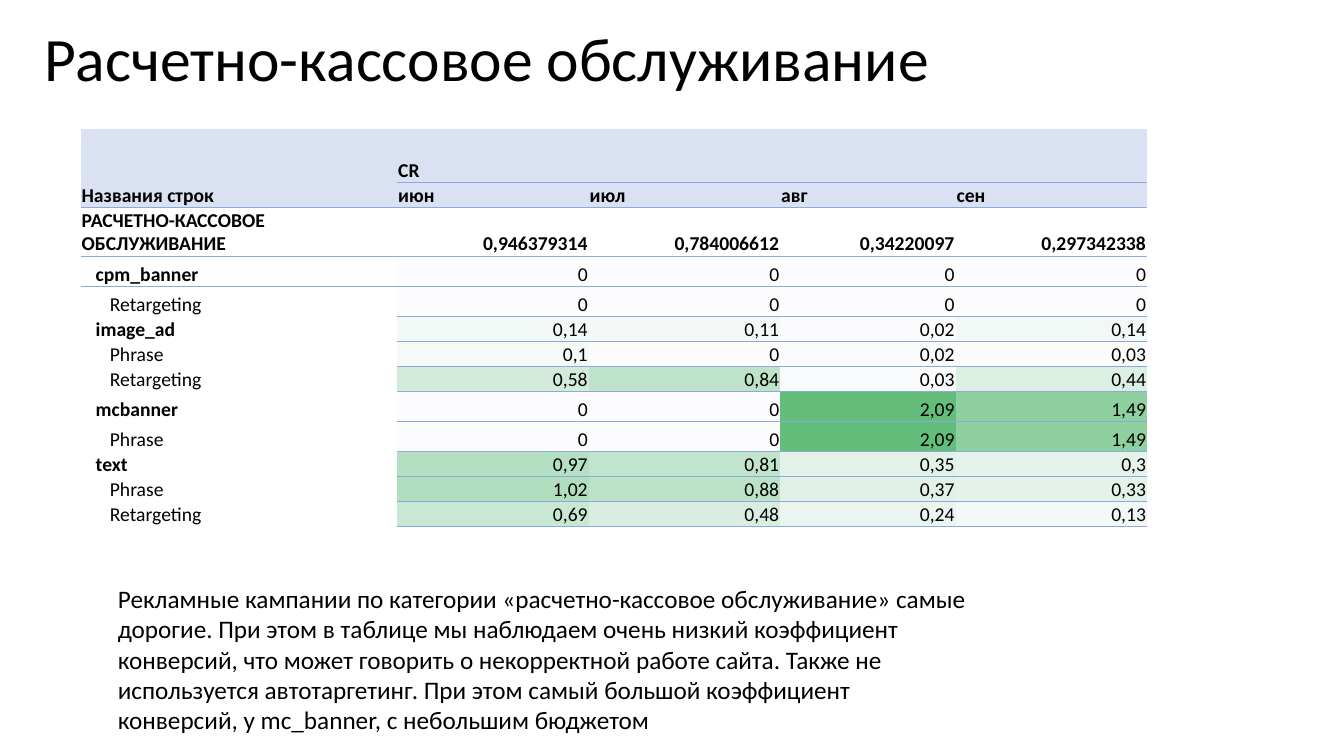
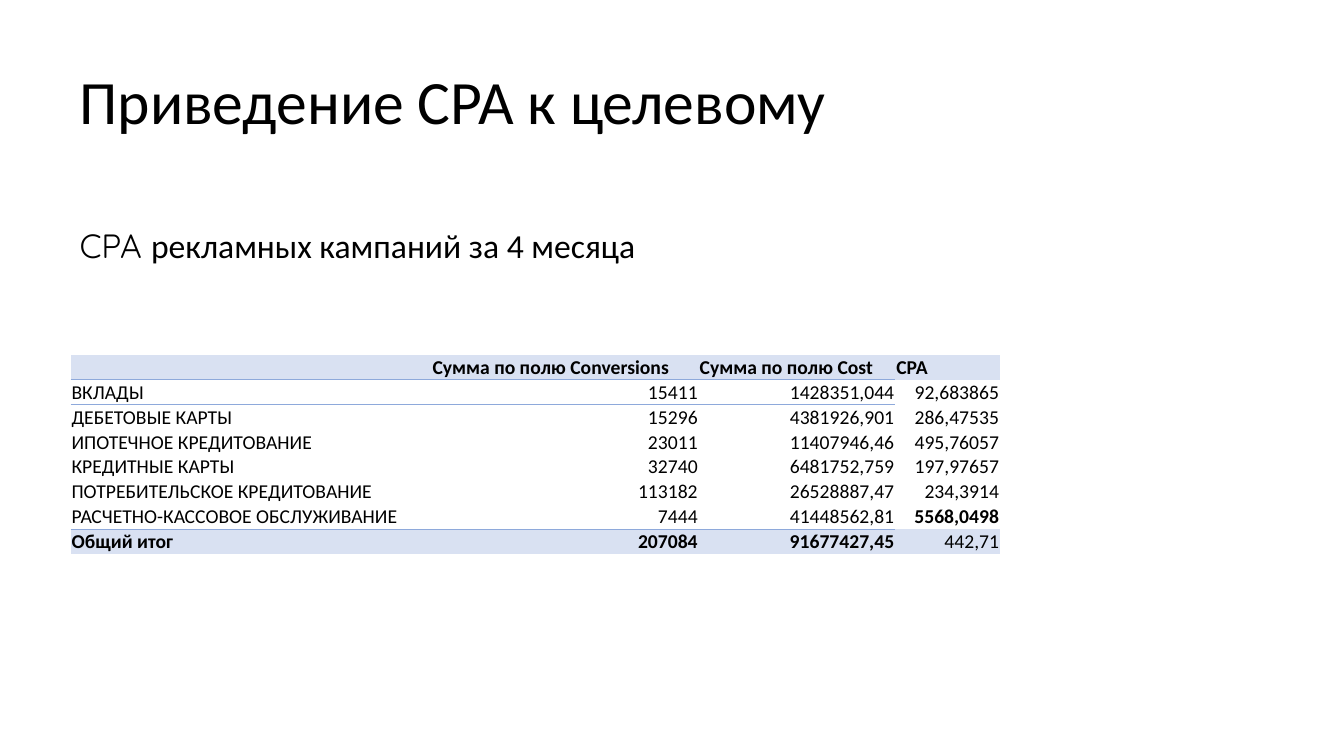
from pptx import Presentation
from pptx.dml.color import RGBColor as Color
from pptx.enum.text import MSO_ANCHOR as Anchor, MSO_AUTO_SIZE as AutoSize, PP_ALIGN as Align
from pptx.oxml.ns import qn
from pptx.util import Inches, Pt
from lxml.etree import SubElement

COLOURS = {"text": "000000", "band": "D9E1F2", "line": "8EA9DB", "low": "FCFCFF", "high": "63BE7B"}
FONT = "Calibri"
TITLE = {"size": 44, "spacing": 0.9, "anchor": Anchor.MIDDLE}
CELL_FORMAT = {"margin_left": Inches(0.01), "margin_top": Inches(0.01), "margin_right": Inches(0.01),
               "margin_bottom": 0, "vertical_anchor": Anchor.BOTTOM}
CELL_SIZE = Pt(14)
PLAIN_STYLE = "{2D5ABB26-0587-4C30-8999-92F81FD0307C}"
INDENT = 0.14

deck = Presentation()
deck.slide_width, deck.slide_height = Inches(13.33), Inches(7.5)
column, row = deck.slide_width / 100, deck.slide_height / 100  # one percent of the slide


def write(page, place, spans, size, spacing=1.0, anchor=Anchor.TOP):
    """Add a text box; place is in percent of the slide, spans are (text, font) pairs."""
    left, top, width, height = place
    box = page.shapes.add_textbox(int(left * column), int(top * row), int(width * column), int(height * row))
    frame = box.text_frame
    for name, value in {"word_wrap": True, "auto_size": AutoSize.NONE, "vertical_anchor": anchor}.items():
        setattr(frame, name, value)
    para = frame.paragraphs[0]
    para.line_spacing = spacing
    for text, font in spans:
        span = para.add_run()
        span.text = text
        for name, value in {"name": font, "size": Pt(size)}.items():
            setattr(span.font, name, value)
        span.font.color.rgb = Color.from_string(COLOURS["text"])


def add_grid(page, left, top, widths, heights, cells):
    """Add a table measured in percent of the slide; each cell is a dict of text and format."""
    frame = page.shapes.add_table(len(heights), len(widths), int(left * column), int(top * row),
                                  int(sum(widths) * column), int(sum(heights) * row))
    table = frame.table
    table.first_row = table.horz_banding = False
    table._tbl.tblPr.find(qn("a:tableStyleId")).text = PLAIN_STYLE
    for index, width in enumerate(widths):
        table.columns[index].width = int(width * column)
    for index, height in enumerate(heights):
        table.rows[index].height = int(height * row)
    for r, line in enumerate(cells):
        for c, look in enumerate(line):
            cell = table.cell(r, c)
            for name, value in CELL_FORMAT.items():
                setattr(cell, name, value)
            cell.margin_left += Inches(INDENT * look.get("level", 0))
            para = cell.text_frame.paragraphs[0]
            para.alignment = look.get("align", Align.LEFT)
            if look["text"]:
                span = para.add_run()
                span.text = look["text"]
                for name, value in {"name": FONT, "size": CELL_SIZE, "bold": look.get("bold", False)}.items():
                    setattr(span.font, name, value)
                span.font.color.rgb = Color.from_string(COLOURS["text"])
            else:
                SubElement(para._p, qn("a:endParaRPr"), sz=str(CELL_SIZE.centipoints))
            for edge in look.get("edges", ""):  # T before B
                border = SubElement(cell._tc.get_or_add_tcPr(), qn("a:ln" + edge), w=str(Pt(0.5)))
                SubElement(SubElement(border, qn("a:solidFill")), qn("a:srgbClr"), val=COLOURS["line"])
            if look.get("fill"):
                cell.fill.solid()
                cell.fill.fore_color.rgb = Color.from_string(look["fill"])
            else:
                cell.fill.background()


# Slide 1: conversion rates by month
page = deck.slides.add_slide(deck.slide_layouts[6])
band = COLOURS["band"]
cells = [
    [{"text": text, "bold": True, "fill": band, "edges": "B" if c else ""}
     for c, text in enumerate(["", "CR", "", "", ""])],
    [{"text": text, "bold": True, "fill": band, "edges": "TB" if c else "B"}
     for c, text in enumerate(["Названия строк", "июн", "июл", "авг", "сен"])],
    [{"text": text, "bold": True, "edges": "TB", "align": Align.RIGHT if c else Align.LEFT}
     for c, text in enumerate(["РАСЧЕТНО-КАССОВОЕ ОБСЛУЖИВАНИЕ", "0,946379314", "0,784006612",
                               "0,34220097", "0,297342338"])],
]
heights = [7.07, 3.2, 6]
rates = [  # indent level, name, row height, months
    (1, "cpm_banner", 4, ["0", "0", "0", "0"]),
    (2, "Retargeting", 4, ["0", "0", "0", "0"]),
    (1, "image_ad", 3.2, ["0,14", "0,11", "0,02", "0,14"]),
    (2, "Phrase", 3.2, ["0,1", "0", "0,02", "0,03"]),
    (2, "Retargeting", 3.2, ["0,58", "0,84", "0,03", "0,44"]),
    (1, "mcbanner", 4, ["0", "0", "2,09", "1,49"]),
    (2, "Phrase", 4, ["0", "0", "2,09", "1,49"]),
    (1, "text", 3.2, ["0,97", "0,81", "0,35", "0,3"]),
    (2, "Phrase", 3.2, ["1,02", "0,88", "0,37", "0,33"]),
    (2, "Retargeting", 3.2, ["0,69", "0,48", "0,24", "0,13"]),
]
highest = 2.09
low, high = (Color.from_string(COLOURS[name]) for name in ("low", "high"))
for level, name, height, months in rates:
    line = [{"text": name, "level": level, "bold": level == 1, "edges": "T" if name == "cpm_banner" else ""}]
    for text in months:
        share = float(text.replace(",", ".")) / highest
        heat = "".join(f"{round(a + (b - a) * share):02X}" for a, b in zip(low, high))
        line.append({"text": text, "align": Align.RIGHT, "fill": heat, "edges": "TB"})
    cells.append(line)
    heights.append(height)
add_grid(page, 6, 17.07, [23.56, 14.25, 14.25, 13.05, 14.25], heights, cells)
write(page, (8.03, 76.53, 65.04, 22), [(
    "Рекламные кампании по категории «расчетно-кассовое обслуживание» самые дорогие. "
    "При этом в таблице мы наблюдаем очень низкий коэффициент конверсий, что может говорить "
    "о некорректной работе сайта. Также не используется автотаргетинг. При этом самый большой "
    "коэффициент конверсий, у mc_banner, с небольшим бюджетом", FONT)], 18)
write(page, (2.55, 2.8, 86.27, 10.67), [("Расчетно-кассовое обслуживание", FONT)], **TITLE)

# Slide 2: cost per action by category
page = deck.slides.add_slide(deck.slide_layouts[6])
write(page, (5.18, 4.13, 86.27, 19.33), [("Приведение CPA к целевому", FONT)], **TITLE)
costs = [
    ["", "Сумма по полю Conversions", "Сумма по полю Cost", "CPA"],
    ["ВКЛАДЫ", "15411", "1428351,044", "92,683865"],
    ["ДЕБЕТОВЫЕ КАРТЫ", "15296", "4381926,901", "286,47535"],
    ["ИПОТЕЧНОЕ КРЕДИТОВАНИЕ", "23011", "11407946,46", "495,76057"],
    ["КРЕДИТНЫЕ КАРТЫ", "32740", "6481752,759", "197,97657"],
    ["ПОТРЕБИТЕЛЬСКОЕ КРЕДИТОВАНИЕ", "113182", "26528887,47", "234,3914"],
    ["РАСЧЕТНО-КАССОВОЕ ОБСЛУЖИВАНИЕ", "7444", "41448562,81", "5568,0498"],
    ["Общий итог", "207084", "91677427,45", "442,71"],
]
last = len(costs) - 1
edges = {0: "B", 1: "T", last - 1: "B", last: "T"}
cells = [[{
    "text": text,
    "bold": r == 0 or (r == last and c < 3) or text == "5568,0498",
    "fill": band if r in (0, last) else None,
    "edges": edges.get(r, "") if c < 3 else "",
    "align": Align.RIGHT if r and c else Align.LEFT,
} for c, text in enumerate(line)] for r, line in enumerate(costs)]
add_grid(page, 5.25, 46.93, [26.86, 19.88, 14.63, 7.8], [3.2] * len(costs), cells)
write(page, (5.18, 29.07, 55.44, 6.67),
      [("CPA ", "Quicksand"), ("рекламных кампаний за 4 месяца", FONT)], 24)

deck.save("out.pptx")
